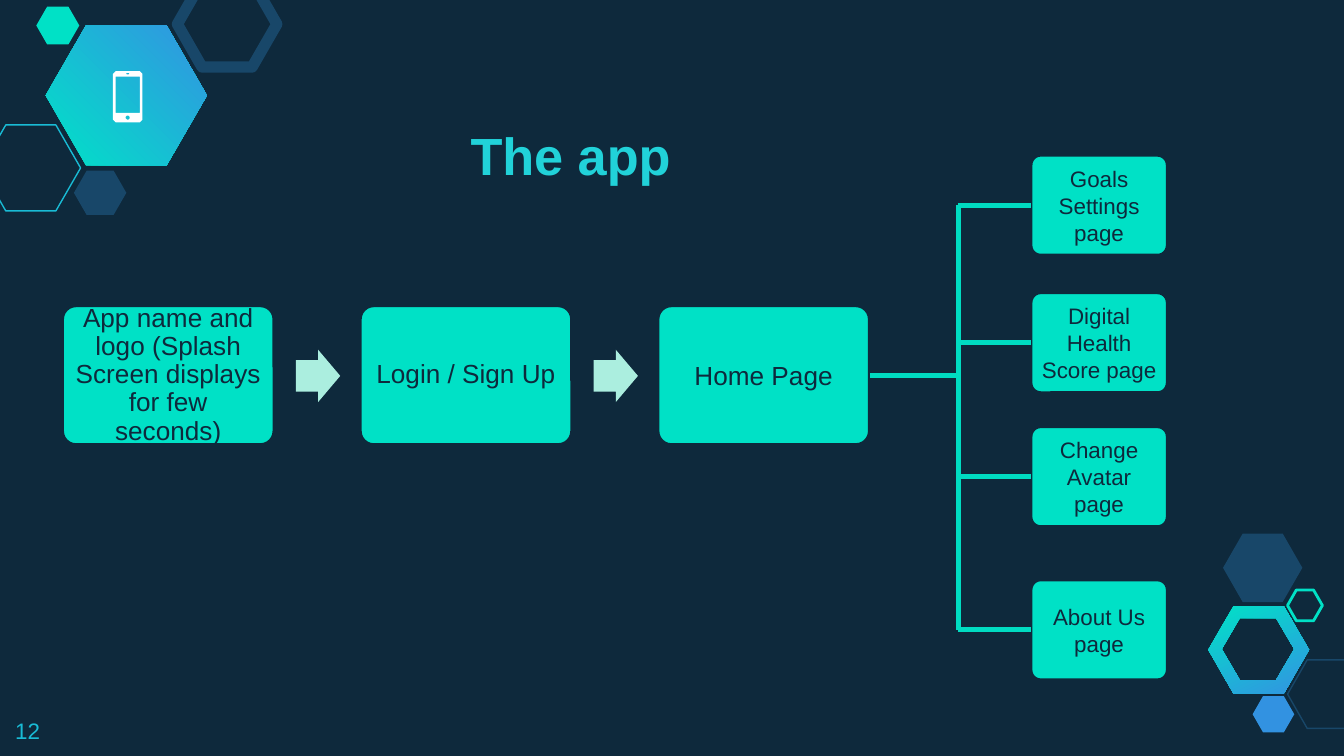
from lxml.etree import SubElement
from pptx import Presentation
from pptx.dml.color import RGBColor
from pptx.enum.shapes import MSO_CONNECTOR, MSO_SHAPE
from pptx.enum.text import MSO_ANCHOR, PP_ALIGN
from pptx.oxml.ns import qn
from pptx.util import Inches, Pt

CELL = 0.1
COLS, ROWS = 100, 56.25
DARK, NAVY, TEAL, BLUE = "0E293C", "184769", "00E1C6", "3393E2"
CYAN, MINT, WIRE = "19BBD5", "ABEEDF", "00DCC2"


def span(cells):
    return Inches(cells * CELL)


def tint(code):
    return RGBColor.from_string(code)


def place(box, x, y, wide, high):
    return box[0] + x, box[1] + y, wide, high


def paint(shape, fill=None, line=None, width=1):
    shape.shadow.inherit = False
    if fill:
        shape.fill.solid()
        shape.fill.fore_color.rgb = tint(fill)
    else:
        shape.fill.background()
    if line:
        shape.line.color.rgb = tint(line)
        shape.line.width = Pt(width)
    else:
        shape.line.fill.background()


def fade(shape, angle):
    paint(shape, TEAL)
    shape.fill.gradient()
    shape.fill.gradient_angle = angle
    for stop, code in zip(shape.fill.gradient_stops, ("00E2C7", BLUE)):
        stop.color.rgb = tint(code)


def add(slide, kind, box, adjust=(), **look):
    shape = slide.shapes.add_shape(kind, *map(span, box))
    for index, value in enumerate(adjust):
        shape.adjustments[index] = value
    paint(shape, **look)
    return shape


def outline(slide, rings):
    (first, *rest), *holes = [[tuple(map(span, dot)) for dot in ring] for ring in rings]
    path = slide.shapes.build_freeform(*first, scale=1.0)
    path.add_line_segments(rest, close=True)
    for start, *dots in holes:
        path.move_to(*start)
        path.add_line_segments(dots, close=True)
    return path.convert_to_shape()


def hexa(box):
    x, y, wide, high = box
    cut = wide / 4
    return [(x, y + high / 2), (x + cut, y), (x + wide - cut, y),
            (x + wide, y + high / 2), (x + wide - cut, y + high), (x + cut, y + high)]


def bevel(box, cut):
    x, y, wide, high = box
    right, low = x + wide, y + high
    return [(x + cut, y), (right - cut, y), (right, y + cut), (right, low - cut),
            (right - cut, low), (x + cut, low), (x, low - cut), (x, y + cut)]


def cluster(slide, box, cells):
    for spot, look in cells:
        add(slide, MSO_SHAPE.HEXAGON, place(box, *spot), [0.287], **look)


def write(shape, text, size, color, align=PP_ALIGN.CENTER, anchor=MSO_ANCHOR.MIDDLE, inset=0.5):
    frame = shape.text_frame
    frame.word_wrap = True
    frame.vertical_anchor = anchor
    frame.margin_left = frame.margin_right = span(inset)
    frame.margin_top = frame.margin_bottom = span(inset)
    line = frame.paragraphs[0]
    line.text = text
    line.alignment = align
    line.font.name = "Arial"
    line.font.size = Pt(size)
    line.font.color.rgb = tint(color)
    return line


def label(slide, box, *args, **look):
    return write(slide.shapes.add_textbox(*map(span, box)), *args, inset=1, **look)


def card(slide, box, text, size):
    shape = add(slide, MSO_SHAPE.ROUNDED_RECTANGLE, box, [0.1], fill=TEAL, line=DARK, width=2)
    return shape, write(shape, text, size, DARK)


def phone(slide, box):
    rings = [bevel(box, 0.2), bevel(place(box, 0.2, 0.4, 1.8, 2.7), 0),
             bevel(place(box, 0.95, 3.3, 0.3, 0.3), 0.09),
             bevel(place(box, 0.98, 0.13, 0.24, 0.1), 0.04)]
    paint(outline(slide, rings), "FFFFFF")


def crest(slide, box):
    fade(outline(slide, [hexa(place(box, 3.4, 1.9, 12, 10.4))]), 45)
    cluster(slide, box, [
        ((-1.4, 9.3, 7.4, 6.4), dict(line=CYAN, width=0.75)),
        ((5.5, 12.7, 3.9, 3.3), dict(fill=NAVY)),
        ((13.2, -1.4, 7.4, 6.4), dict(line=NAVY, width=6)),
        ((2.7, 0.5, 3.2, 2.8), dict(fill=TEAL)),
    ])
    phone(slide, place(box, 8.4, 5.3, 2.2, 3.8))


def corner(slide, box):
    rings = [hexa(place(box, 0, 5.4, 7.5, 6.5)), hexa(place(box, 1, 6.3, 5.4, 4.6))]
    fade(outline(slide, rings), 296)
    cluster(slide, box, [
        ((5.9, 9.4, 5.9, 5.1), dict(line=NAVY, width=0.75)),
        ((3.3, 12.1, 3.1, 2.7), dict(fill="3292E1")),
        ((1.1, 0, 5.9, 5.1), dict(fill=NAVY)),
        ((5.9, 4.2, 2.6, 2.3), dict(line=TEAL, width=1.5)),
    ])


def flow(slide, box, steps):
    wide, gap = 15.8, 6.35
    for index, (text, lead) in enumerate(steps):
        x = index * (wide + gap)
        if index:
            add(slide, MSO_SHAPE.RIGHT_ARROW, place(box, x - 4.75, 3.3, 3.3, 3.9),
                [0.6, 0.5], fill=MINT)
        shape, line = card(slide, place(box, x, 0, wide, box[3]), text, 14)
        line.line_spacing = lead
    return shape


def wire(slide, start, end):
    line = slide.shapes.add_connector(MSO_CONNECTOR.STRAIGHT, *start, *end)
    line.line.color.rgb = tint(WIRE)
    line.line.width = Pt(2.75)
    SubElement(line._element.spPr, qn("a:effectLst"))
    return line


def branch(slide, box, home, pages):
    trunk = span(box[0])
    wide, high = 10.2, 7.5
    mids = []
    for text, row in pages:
        spot = place(box, box[2] - wide, row, wide, high)
        shape, line = card(slide, spot, text, 12)
        mid = shape.top + shape.height // 2
        wire(slide, (trunk, mid), (shape.left, mid)).end_connect(shape, 1)
        mids.append(mid)
    wire(slide, (trunk, mids[0]), (trunk, mids[-1]))
    mid = home.top + home.height // 2
    wire(slide, (home.left + home.width, mid), (trunk, mid)).begin_connect(home, 3)


def main():
    deck = Presentation()
    deck.slide_width, deck.slide_height = span(COLS), span(ROWS)
    slide = deck.slides.add_slide(deck.slide_layouts[6])
    slide.background.fill.solid()
    slide.background.fill.fore_color.rgb = tint(DARK)
    corner(slide, (89.9, 39.7, 10.1, 16.5))
    crest(slide, (0, 0, 20.6, 16))
    title = label(slide, (20, 8.15, 44.9, 6.7), "The app", 28, "21D2D9",
                  anchor=MSO_ANCHOR.BOTTOM)
    title.font.bold = True
    title.space_before = Pt(6)
    label(slide, (0.15, 52.35, 6, 3.9), "12", 12, CYAN, align=PP_ALIGN.LEFT, anchor=MSO_ANCHOR.TOP)
    home = flow(slide, (4.62, 22.72, 60.1, 10.4), [
        ("App name and logo (Splash Screen displays for few seconds)", 0.9),
        ("Login / Sign Up", 0.9),
        ("Home Page", 1.0),
    ])
    branch(slide, (71.3, 11.52, 15.58, 39.1), home, [
        ("Goals Settings page", 0),
        ("Digital Health Score page", 10.23),
        ("Change Avatar page", 20.2),
        ("About Us page", 31.6),
    ])
    deck.save("out.pptx")


if __name__ == "__main__":
    main()
